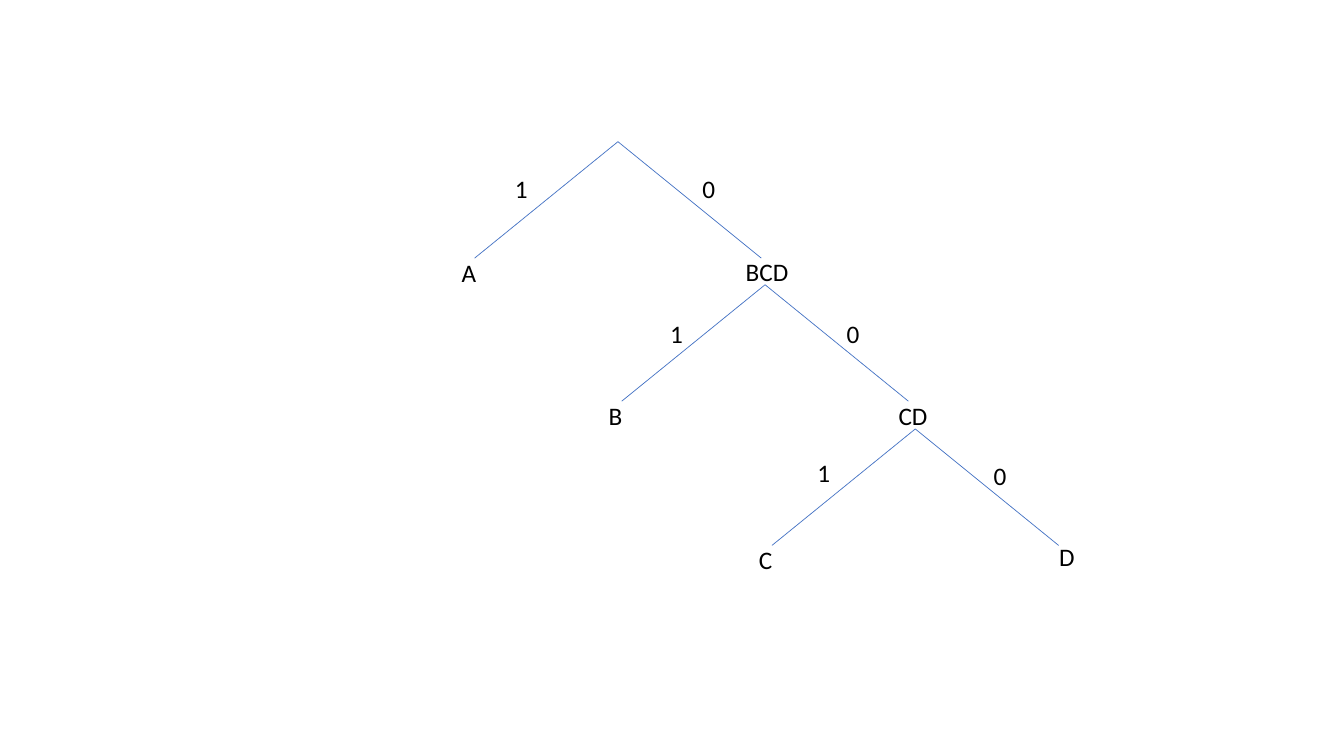
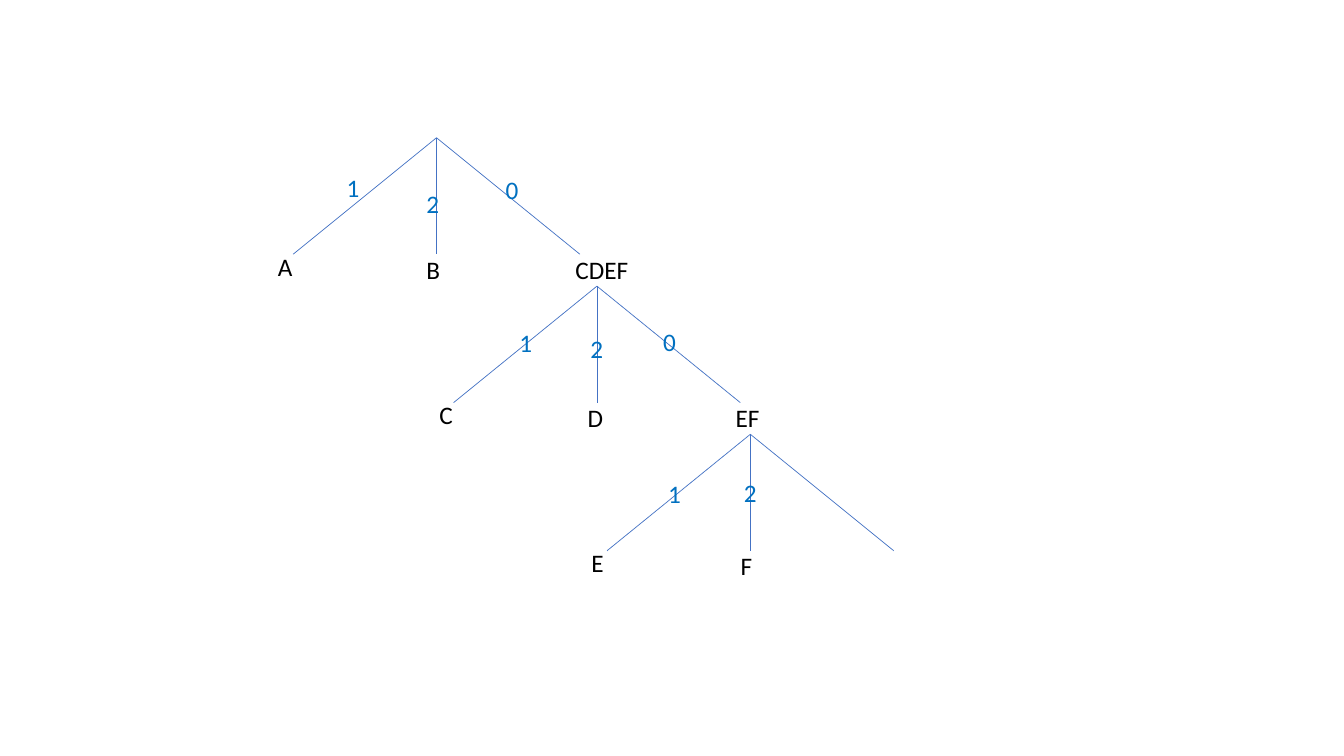
from lxml import etree
from pptx import Presentation
from pptx.dml.color import RGBColor
from pptx.enum.shapes import MSO_CONNECTOR
from pptx.enum.text import MSO_AUTO_SIZE
from pptx.oxml.ns import qn
from pptx.util import Pt

BLACK = RGBColor(0x00, 0x00, 0x00)
CODE_BLUE = RGBColor(0x00, 0x70, 0xC0)
BRANCH_BLUE = RGBColor(0x44, 0x72, 0xC4)
FONT = "Calibri"
BRANCH_REACH = 102.4
BRANCH_DROP = 83.2

# Each fork: apex, then (text, left, top) of its nodes and of its code digits.
BINARY_FORKS = [
    ((441.4, 101.2),
     [("A", 322.6, 180), ("BCD", 525.6, 179.4)],
     [("1", 360.7, 120.2), ("0", 494.6, 120.2)]),
    ((546.5, 203.4),
     [("B", 427.7, 282.2), ("CD", 634.8, 282.2)],
     [("1", 471.6, 223.9), ("0", 597.6, 223.9)]),
    ((653.8, 306.4),
     [("C", 535, 385.2), ("D", 749.5, 383)],
     [("1", 576.7, 323.3), ("0", 702.7, 325.4)]),
]
TERNARY_FORKS = [
    ((311.8, 98.4),
     [("A", 191.5, 175.7), ("B", 297.4, 177.8), ("CDEF", 403.9, 177.8)],
     [("1", 240.5, 119.5), ("2", 297.4, 131), ("0", 354.2, 121)]),
    ((426.4, 204.4),
     [("C", 306.7, 281.5), ("D", 412.6, 283.7), ("EF", 518.4, 283.7)],
     [("1", 364, 230.4), ("2", 414.7, 234.7), ("0", 466.6, 229.7)]),
    ((536, 310.2),
     [("E", 415.4, 387.4), ("F", 522, 389.5)],
     [("1", 470.2, 338.4), ("2", 524.2, 337.7)]),
]


def add_text(slide, text, left, top, *, width=72, height=28.8, size=18, color=BLACK):
    text_box = slide.shapes.add_textbox(Pt(left), Pt(top), Pt(width), Pt(height))
    frame = text_box.text_frame
    frame.word_wrap = True
    frame.auto_size = MSO_AUTO_SIZE.SHAPE_TO_FIT_TEXT
    paragraph = frame.paragraphs[0]
    run = paragraph.add_run()
    run.text = text
    run.font.name = FONT
    run.font.size = Pt(size)
    run.font.color.rgb = color


def add_branch(slide, apex, direction):
    """Draw one branch; direction is -1 for left, 0 for down, 1 for right."""
    x, y = apex
    connector = slide.shapes.add_connector(
        MSO_CONNECTOR.STRAIGHT, Pt(x), Pt(y),
        Pt(x + direction * BRANCH_REACH), Pt(y + BRANCH_DROP))
    connector.line.color.rgb = BRANCH_BLUE
    connector.line.width = Pt(0.5)
    etree.SubElement(connector.element.spPr, qn("a:effectLst"))


def add_tree(presentation, forks, directions, code_color):
    slide = presentation.slides.add_slide(presentation.slide_layouts[6])
    for apex, nodes, codes in forks:
        for direction in directions:
            add_branch(slide, apex, direction)
        for text, left, top in nodes:
            add_text(slide, text, left, top)
        for text, left, top in codes:
            add_text(slide, text, left, top, color=code_color)


def main():
    presentation = Presentation()
    presentation.slide_width = Pt(960)
    presentation.slide_height = Pt(540)
    add_tree(presentation, BINARY_FORKS, (-1, 1), BLACK)
    add_tree(presentation, TERNARY_FORKS, (-1, 0, 1), CODE_BLUE)
    presentation.save("out.pptx")


if __name__ == "__main__":
    main()
